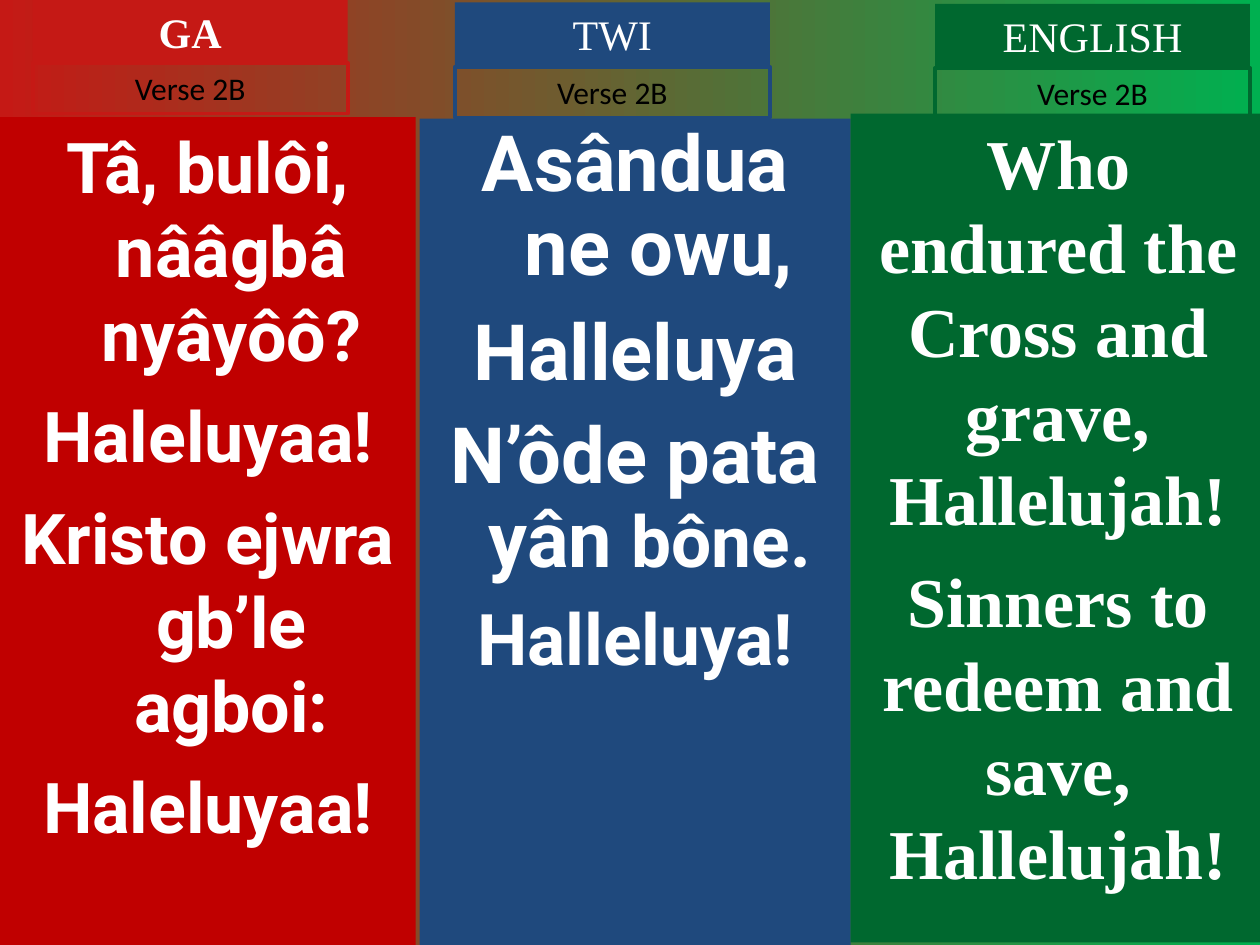
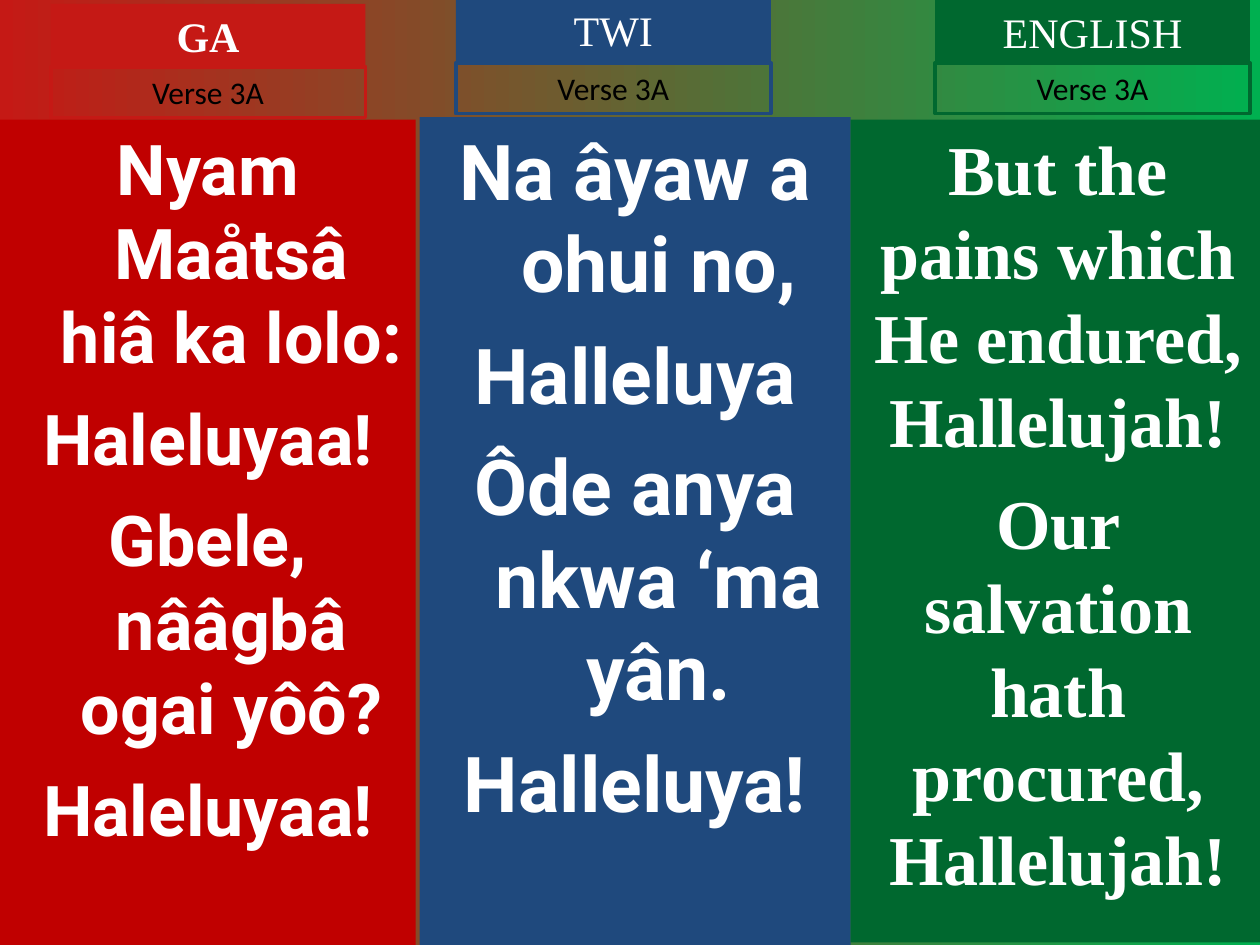
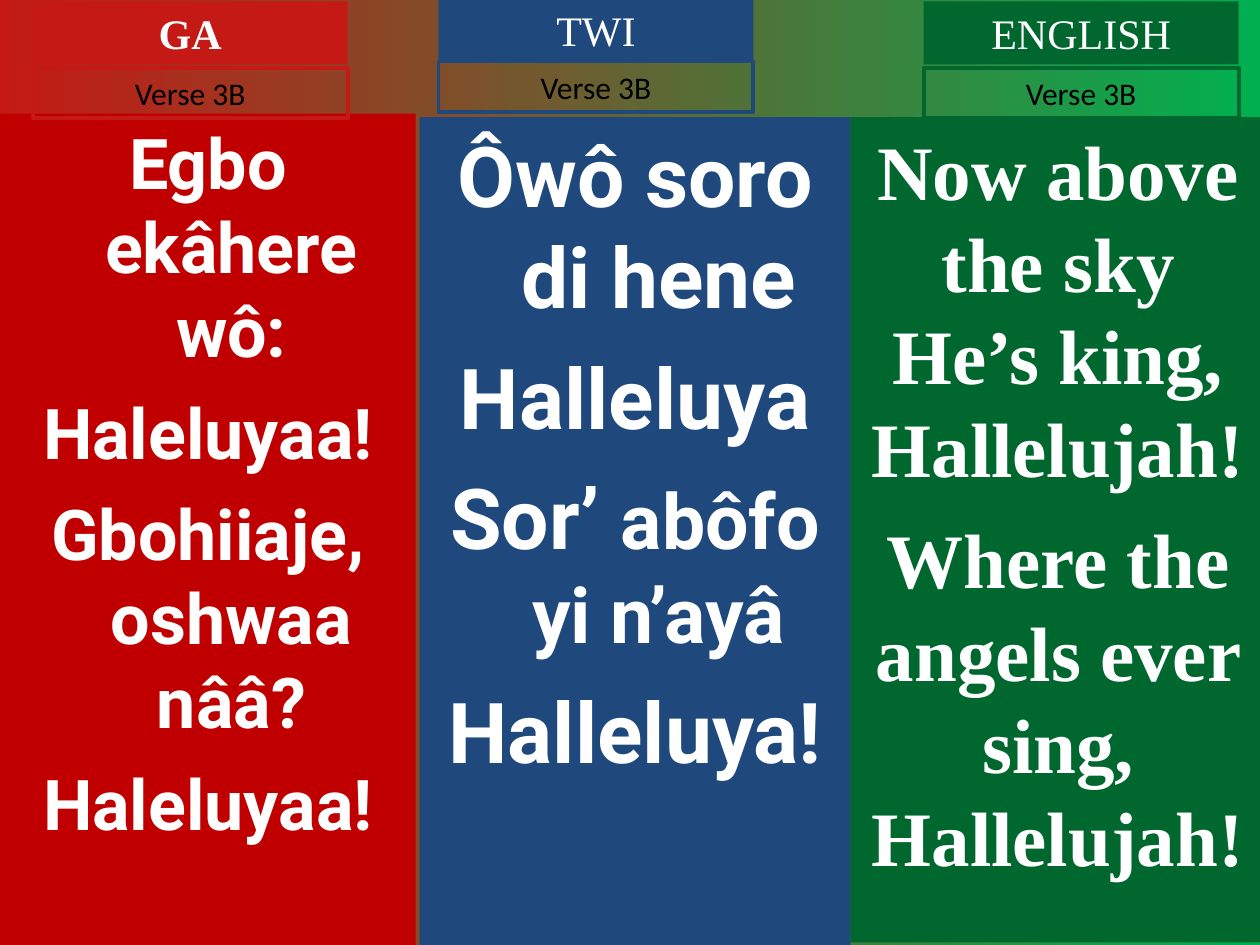
from dataclasses import dataclass
from math import ceil
from typing import NamedTuple, Optional

from pptx import Presentation
from pptx.dml.color import RGBColor
from pptx.enum.shapes import MSO_SHAPE
from pptx.enum.text import MSO_ANCHOR, MSO_AUTO_SIZE, PP_ALIGN
from pptx.util import Cm, Pt

# Colours and fonts
WHITE = RGBColor(0xFF, 0xFF, 0xFF)
BLACK = RGBColor(0x00, 0x00, 0x00)
SCARLET = RGBColor(0xC5, 0x19, 0x15)
CRIMSON = RGBColor(0xC0, 0x00, 0x00)
NAVY = RGBColor(0x1F, 0x49, 0x7D)
FOREST = RGBColor(0x00, 0x68, 0x2F)
EMERALD = RGBColor(0x00, 0xB0, 0x50)
SERIF = "Times New Roman"
SANS = "Roboto"
LABEL_FONT = "Calibri"

# Measures in centimetres
SLIDE_W, SLIDE_H = 25.4, 19.05
HEAD_W, HEAD_H, LABEL_H = 6.35, 1.27, 1.02
HANGING = 0.95


class Run(NamedTuple):
    text: str
    size: float


Line = list[Run]


@dataclass(frozen=True)
class Language:
    name: str
    left: float
    width: float
    bottom: float
    panel_color: RGBColor
    head_color: RGBColor
    font: str
    bold_head: bool = False
    hanging: float = 0


@dataclass(frozen=True)
class Verse:
    panel_top: float
    head_left: float
    head_top: float
    label_top: float
    lines: list[Line]
    spacing: Optional[float] = None


def sung(size: float, *texts: str) -> list[Line]:
    """Lines that are each one run of the same size."""
    return [[Run(text, size)] for text in texts]


LANGUAGES = [
    Language("GA", 0, 8.38, SLIDE_H, CRIMSON, SCARLET, SANS, True, HANGING),
    Language("TWI", 8.46, 8.69, SLIDE_H, NAVY, NAVY, SANS, False, HANGING),
    Language("ENGLISH", 17.15, 8.36, 19, FOREST, FOREST, SERIF),
]

# Verses, in the order of the languages
SLIDES = {
    "Verse 2B": [
        Verse(2.36, 0.66, 0, 1.27, sung(
            40, "Tâ, bulôi, nââgbâ nyâyôô?", "Haleluyaa!",
            "Kristo ejwra gb’le agboi:", "Haleluyaa!")),
        Verse(2.39, 9.17, 0.05, 1.35, [
            *sung(44.4, "Asândua ne owu,", "Halleluya"),
            [Run("N’ôde pata yân ", 44.4), Run("bône. ", 40.7)],
            *sung(40.7, "Halleluya!")], spacing=0.9),
        Verse(2.29, 18.85, 0.08, 1.37, sung(
            40, "Who endured the Cross and grave, Hallelujah!",
            "Sinners to redeem and save, Hallelujah!")),
    ],
    "Verse 3A": [
        Verse(2.41, 1.02, 0.08, 1.35, sung(
            40, "Nyam Maåtsâ hiâ ka lolo:", "Haleluyaa!",
            "Gbele, nââgbâ ogai yôô?", "Haleluyaa!")),
        Verse(2.36, 9.19, -0.03, 1.27, sung(
            44, "Na âyaw a ohui no,", "Halleluya",
            "Ôde anya nkwa ‘ma yân.", "Halleluya!")),
        Verse(2.41, 18.85, 0, 1.27, sung(
            40, "But the pains which He endured, Hallelujah!",
            "Our salvation hath procured, Hallelujah!")),
    ],
    "Verse 3B": [
        Verse(2.29, 0.66, 0.03, 1.37, sung(
            40, "Egbo ekâhere wô:", "Haleluyaa!",
            "Gbohiiaje, oshwaa nââ?", "Haleluyaa!")),
        Verse(2.36, 8.84, -0.03, 1.24, [
            *sung(48, "Ôwô soro di hene", "Halleluya"),
            [Run("Sor’ ", 48), Run("abôfo yi n’ayâ", 44)],
            *sung(48, "Halleluya!")]),
        Verse(2.36, 18.62, 0.03, 1.37, sung(
            44, "Now above the sky He’s king, Hallelujah!",
            "Where the angels ever sing, Hallelujah!")),
    ],
}


def add_box(slide, left: float, top: float, width: float, height: float,
            fill: Optional[RGBColor] = None, line: Optional[RGBColor] = None):
    """Draw a rectangle with top-anchored wrapping text."""
    sp = slide.shapes.add_shape(MSO_SHAPE.RECTANGLE, Cm(left), Cm(top), Cm(width), Cm(height))
    sp.shadow.inherit = False
    if fill is None:
        sp.fill.background()
    else:
        sp.fill.solid()
        sp.fill.fore_color.rgb = fill
    if line is None:
        sp.line.fill.background()
    else:
        sp.line.color.rgb = line
        sp.line.width = Pt(2.25)
    tf = sp.text_frame
    tf.word_wrap = True
    tf.vertical_anchor = MSO_ANCHOR.TOP
    return tf


def write_line(p, line: Line, font: str, color: RGBColor, bold: bool) -> None:
    p.alignment = PP_ALIGN.CENTER
    for run in line:
        r = p.add_run()
        r.text = run.text
        r.font.size = Pt(run.size)
        r.font.name = font
        r.font.bold = bold
        r.font.color.rgb = color


def add_panel(slide, language: Language, verse: Verse) -> None:
    tf = add_box(slide, language.left, verse.panel_top, language.width,
                 language.bottom - verse.panel_top, fill=language.panel_color)
    for i, line in enumerate(verse.lines):
        p = tf.add_paragraph() if i else tf.paragraphs[0]
        if i:
            p.space_before = Pt(ceil(line[-1].size / 4))
        if verse.spacing:
            p.line_spacing = verse.spacing
        if language.hanging:
            pPr = p._p.get_or_add_pPr()
            pPr.set("marL", str(Cm(language.hanging)))
            pPr.set("indent", str(-Cm(language.hanging)))
        write_line(p, line, language.font, WHITE, True)


def add_heading(slide, language: Language, verse: Verse, label: str) -> None:
    head = add_box(slide, verse.head_left, verse.head_top, HEAD_W, HEAD_H,
                   fill=language.head_color)
    write_line(head.paragraphs[0], [Run(language.name, 24)], SERIF, WHITE, language.bold_head)
    tag = add_box(slide, verse.head_left, verse.label_top, HEAD_W, LABEL_H,
                  line=language.head_color)
    write_line(tag.paragraphs[0], [Run(label, 18)], LABEL_FONT, BLACK, False)
    for tf in (head, tag):
        tf.auto_size = MSO_AUTO_SIZE.SHAPE_TO_FIT_TEXT


def set_background(slide) -> None:
    fill = slide.background.fill
    fill.gradient()
    fill.gradient_angle = 0
    for stop, position, color in zip(fill.gradient_stops, (0, 1), (SCARLET, EMERALD)):
        stop.position = position
        stop.color.rgb = color


def main() -> None:
    prs = Presentation()
    prs.slide_width, prs.slide_height = Cm(SLIDE_W), Cm(SLIDE_H)
    for label, verses in SLIDES.items():
        slide = prs.slides.add_slide(prs.slide_layouts[6])
        set_background(slide)
        for language, verse in zip(LANGUAGES, verses):
            add_panel(slide, language, verse)
            add_heading(slide, language, verse, label)
    prs.save("out.pptx")


if __name__ == "__main__":
    main()
